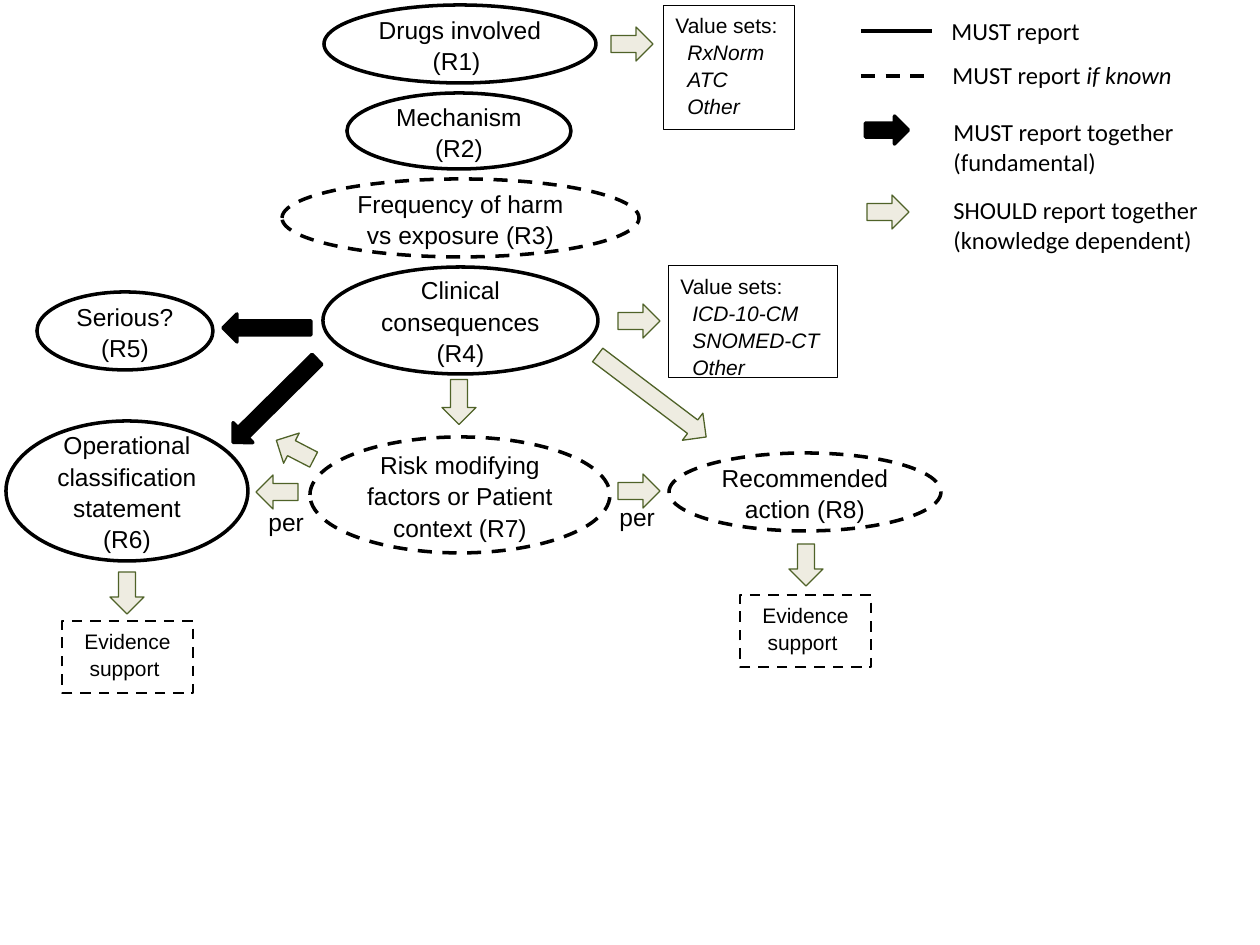
from dataclasses import dataclass

from lxml import etree
from pptx import Presentation
from pptx.dml.color import RGBColor
from pptx.enum.dml import MSO_LINE
from pptx.enum.shapes import MSO_CONNECTOR, MSO_SHAPE
from pptx.enum.text import MSO_ANCHOR, PP_ALIGN
from pptx.oxml.ns import qn
from pptx.util import Emu, Pt

ELLIPSE, BOX, ARROW = MSO_SHAPE.OVAL, MSO_SHAPE.RECTANGLE, MSO_SHAPE.DOWN_ARROW
STRAIGHT, DASH = MSO_CONNECTOR.STRAIGHT, MSO_LINE.DASH
TOP, MIDDLE = MSO_ANCHOR.TOP, MSO_ANCHOR.MIDDLE
LEFT, CENTER = PP_ALIGN.LEFT, PP_ALIGN.CENTER
DOWN, LEFTWARD, RIGHTWARD = 0, 90, 270
PIXEL = 914400 / 126


@dataclass(frozen=True)
class Theme:
    black: RGBColor = RGBColor(0, 0, 0)
    white: RGBColor = RGBColor(255, 255, 255)
    beige: RGBColor = RGBColor(0xEE, 0xEC, 0xE1)
    olive: RGBColor = RGBColor(0x4F, 0x62, 0x28)
    diagram_font: str = "Arial"
    legend_font: str = "Calibri"
    node_size: int = 14
    box_size: int = 12
    heavy: float = 2
    medium: float = 1.5
    thin: float = 0.5
    hairline: float = 0
    spacing: float = 1.07
    indent: int = 12


THEME = Theme()


def px(value):
    return Emu(round(value * PIXEL))


def set_attributes(target, values):
    for name, value in values.items():
        setattr(target, name, value)


def format_line(line, color, width, dashed=False):
    line.color.rgb = color
    line.width = Pt(width)
    if dashed:
        line.dash_style = DASH


def add_shape(slide, kind, bounds, fill, color, width, dashed=False):
    shape = slide.shapes.add_shape(kind, *map(px, bounds))
    shape.shadow.inherit = False
    shape.fill.solid()
    shape.fill.fore_color.rgb = fill
    format_line(shape.line, color, width, dashed)
    return shape


def write(shape, paragraphs, size, font, anchor=TOP, align=LEFT, spacing=None, wrap=True):
    """Each paragraph is (indent, [(text, italic), ...])."""
    frame = shape.text_frame
    set_attributes(frame, {"word_wrap": wrap, "vertical_anchor": anchor})
    for index, (indent, runs) in enumerate(paragraphs):
        paragraph = frame.add_paragraph() if index else frame.paragraphs[0]
        set_attributes(paragraph, {"alignment": align, "line_spacing": spacing})
        if indent:
            properties = paragraph._p.get_or_add_pPr()
            properties.set("marL", str(px(indent)))
            properties.set("indent", "0")
        for text, italic in runs:
            run = paragraph.add_run()
            run.text = text
            set_attributes(run.font, {"size": Pt(size), "name": font, "italic": italic})
            run.font.color.rgb = THEME.black


def add_node(slide, text, bounds, dashed):
    shape = add_shape(slide, ELLIPSE, bounds, THEME.white, THEME.black, THEME.heavy, dashed)
    write(shape, [(0, [(text, False)])], THEME.node_size, THEME.diagram_font,
          MIDDLE, CENTER, THEME.spacing)


def add_value_sets(slide, names, bounds):
    shape = add_shape(slide, BOX, bounds, THEME.white, THEME.black, THEME.thin)
    paragraphs = [(0, [("Value sets:", False)])]
    paragraphs += [(THEME.indent, [(name, True)]) for name in names]
    write(shape, paragraphs, THEME.box_size, THEME.diagram_font, spacing=THEME.spacing)


def add_evidence(slide, left, top):
    shape = add_shape(slide, BOX, (left, top, 131, 72), THEME.white, THEME.black,
                      THEME.medium, True)
    write(shape, [(0, [("Evidence support ", False)])], THEME.box_size,
          THEME.diagram_font, align=CENTER, spacing=THEME.spacing)


def add_arrow(slide, center_x, center_y, rotation, length=42, must=False):
    if must:
        breadth, style = 28, (THEME.black, THEME.black, THEME.heavy)
    else:
        breadth, style = 34, (THEME.beige, THEME.olive, THEME.hairline)
    bounds = (center_x - breadth / 2, center_y - length / 2, breadth, length)
    add_shape(slide, ARROW, bounds, *style).rotation = rotation


def add_label(slide, paragraphs, bounds, font, wrap=True):
    label = slide.shapes.add_textbox(*map(px, bounds))
    write(label, paragraphs, THEME.node_size, font, wrap=wrap)


def add_legend_line(slide, top, dashed):
    connector = slide.shapes.add_connector(STRAIGHT, *map(px, (861, top, 932, top)))
    format_line(connector.line, THEME.black, THEME.heavy, dashed)
    etree.SubElement(connector._element.spPr, qn("a:effectLst"))


def main():
    presentation = Presentation()
    set_attributes(presentation, {"slide_width": px(1260), "slide_height": px(945)})
    slide = presentation.slides.add_slide(presentation.slide_layouts[6])

    # Report elements
    for text, bounds, dashed in (
        ("Drugs involved (R1) ", (324, 5, 272, 78), False),
        ("Mechanism (R2)", (347, 93, 224, 76), False),
        ("Frequency of harm vs exposure (R3)", (282, 179, 357, 78), True),
        ("Clinical consequences (R4)", (323, 267, 275, 107), False),
        ("Serious? (R5)", (37, 292, 176, 78), False),
        ("Operational classification statement (R6)", (6, 421, 242, 140), False),
        ("Risk modifying factors or Patient context (R7)", (310, 437, 300, 116), True),
        ("Recommended action (R8)", (669, 453, 272, 78), True),
    ):
        add_node(slide, text, bounds, dashed)

    # Value sets and evidence
    add_value_sets(slide, ("RxNorm", "ATC", "Other "), (663, 5, 131, 125))
    add_value_sets(slide, ("ICD-10-CM", "SNOMED-CT", "Other"), (668, 266, 169, 112))
    add_evidence(slide, 62, 621)
    add_evidence(slide, 740, 595)

    # Arrows between elements
    for x, y, rotation in ((632, 44, RIGHTWARD), (639, 321, RIGHTWARD),
                           (639, 491, RIGHTWARD), (277, 492, LEFTWARD),
                           (295, 450, 117.4), (127, 593, DOWN), (806, 565, DOWN)):
        add_arrow(slide, x, y, rotation)
    add_arrow(slide, 459, 402, DOWN, 45)
    add_arrow(slide, 652, 396, 307.1, 136)
    add_arrow(slide, 267, 328, LEFTWARD, 88, must=True)
    add_arrow(slide, 275, 401, 45.3, 118, must=True)
    for left, top in ((256, 501), (607, 496)):
        add_label(slide, [(0, [("per", False)])], (left, top, 67, 43), THEME.diagram_font)

    # Legend
    add_legend_line(slide, 31, False)
    add_legend_line(slide, 76, True)
    add_arrow(slide, 887, 130, RIGHTWARD, 43, must=True)
    add_arrow(slide, 888, 212, RIGHTWARD)
    for paragraphs, bounds, wrap in (
        ([(0, [("MUST report", False)])], (939, 10, 166, 43), False),
        ([(0, [("MUST report ", False), ("if known", True)])], (940, 54, 247, 43), False),
        ([(0, [("MUST report together (fundamental)", False)])], (941, 111, 307, 72), True),
        ([(0, [("SHOULD report together", False)]),
          (0, [("(knowledge dependent)", False)])], (941, 189, 334, 72), True),
    ):
        add_label(slide, paragraphs, bounds, THEME.legend_font, wrap)

    presentation.save("out.pptx")


main()
